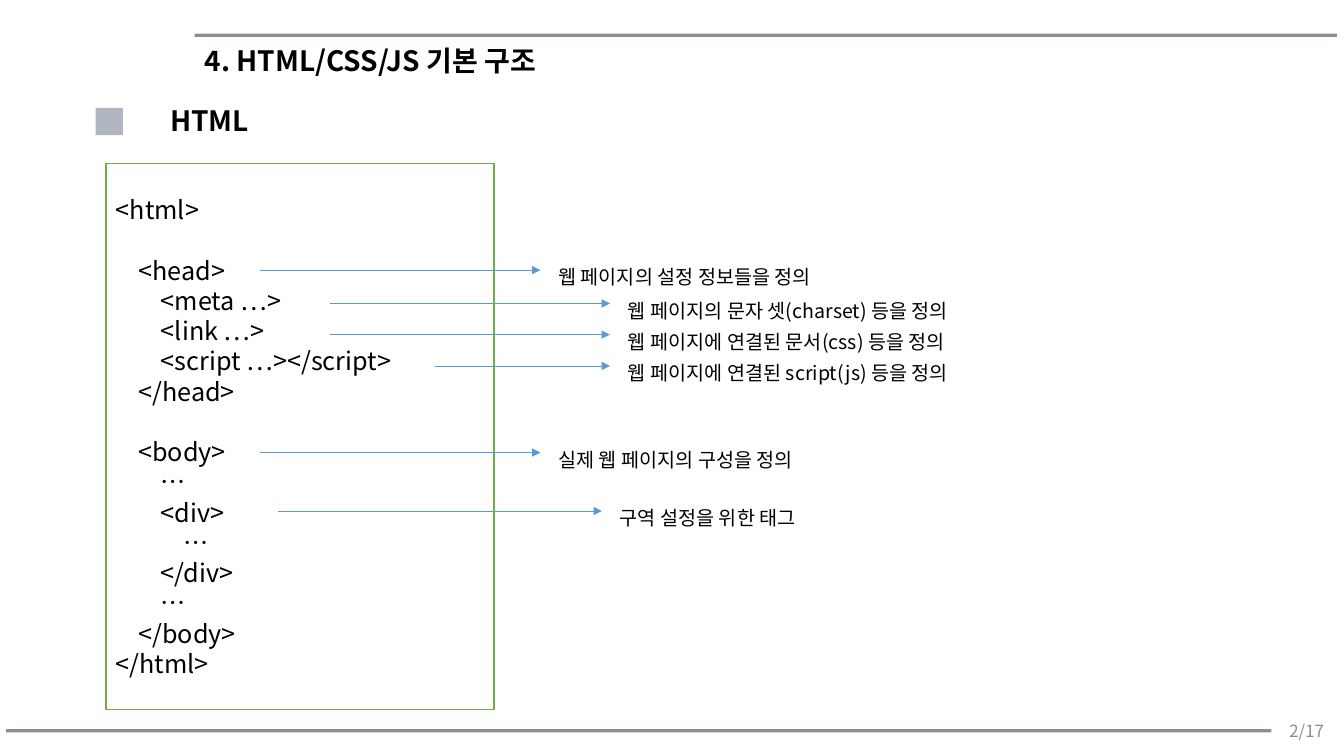
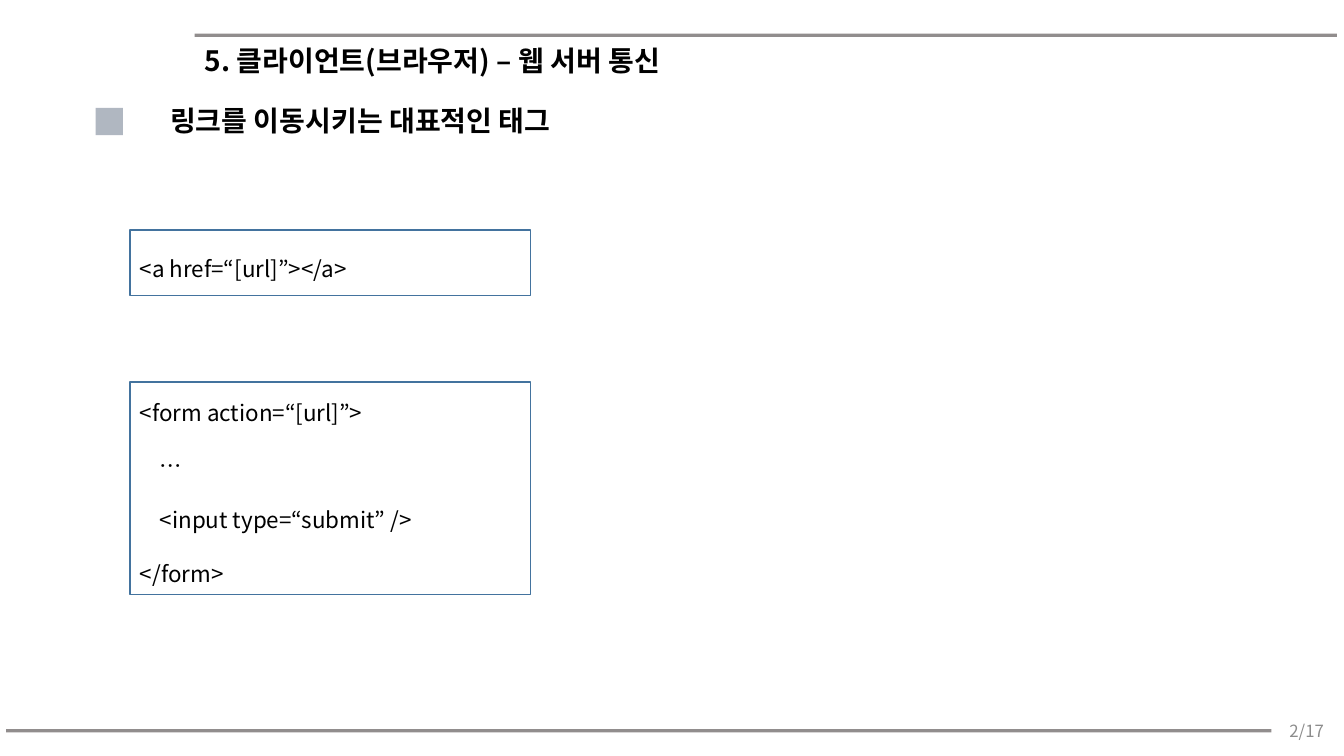
from dataclasses import dataclass

from lxml import etree
from pptx import Presentation
from pptx.dml.color import RGBColor
from pptx.enum.shapes import MSO_CONNECTOR, MSO_SHAPE
from pptx.enum.text import MSO_ANCHOR as Anchor, MSO_AUTO_SIZE, PP_ALIGN as Align
from pptx.oxml.ns import qn
from pptx.shapes.base import BaseShape
from pptx.slide import Slide
from pptx.util import Pt

EMU_PER_PX = 9144  # 100 px to the inch
FONT = "Noto Sans CJK KR"
LINE_HEIGHT = 1.2
COLORS = {
    "text": "000000",
    "page": "8C8C8C",
    "rule": "767171",
    "marker": "B0B7C1",
    "white": "FFFFFF",
    "html_border": "70AD47",
    "tag_border": "43739E",
    "arrow": "5B9BD5",
}


@dataclass(frozen=True)
class Box:
    left: int
    top: int
    width: int
    height: int

    def emu(self) -> tuple[int, ...]:
        return tuple(px(n) for n in (self.left, self.top, self.width, self.height))


@dataclass(frozen=True)
class TextStyle:
    size: int
    color: str = "text"
    bold: bool = False
    align: Align = Align.LEFT
    anchor: Anchor = Anchor.TOP
    spacing: int = 1


@dataclass(frozen=True)
class Note:
    """An arrow from a line of code to its explanation."""
    start: int
    end: int
    y: int
    text: str


@dataclass(frozen=True)
class TagExample:
    code: tuple[str, ...]
    text_box: Box
    frame: Box


TITLE = TextStyle(20, bold=True, anchor=Anchor.MIDDLE)
HEADING = TextStyle(20, bold=True)
PAGE = TextStyle(12, color="page", align=Align.RIGHT, anchor=Anchor.MIDDLE)
HTML_CODE = TextStyle(18, anchor=Anchor.MIDDLE)
NOTE = TextStyle(14, spacing=2)
TAG_CODE = TextStyle(16, spacing=2)

HTML_LINES = (
    "<html>",
    "",
    "    <head>",
    "        <meta …>",
    "        <link …>",
    "        <script …></script>",
    "    </head>",
    "",
    "    <body>",
    "        …",
    "        <div>",
    "            …",
    "        </div>",
    "        …",
    "    </body>",
    "</html>",
)
NOTES = (
    Note(258, 536, 268, "웹 페이지의 설정 정보들을 정의"),
    Note(327, 605, 301, "웹 페이지의 문자 셋(charset) 등을 정의"),
    Note(327, 605, 332, "웹 페이지에 연결된 문서(css) 등을 정의"),
    Note(431, 605, 363, "웹 페이지에 연결된 script(js) 등을 정의"),
    Note(258, 536, 449, "실제 웹 페이지의 구성을 정의"),
    Note(276, 597, 507, "구역 설정을 위한 태그"),
)
TAG_EXAMPLES = (
    TagExample(
        ("<a href=“[url]”></a>",),
        Box(129, 222, 357, 64),
        Box(129, 228, 397, 65),
    ),
    TagExample(
        ("<form action=“[url]”>", "    …", "    <input type=“submit” />", "</form>"),
        Box(129, 364, 667, 226),
        Box(129, 379, 397, 211),
    ),
)


def px(length: int) -> int:
    return length * EMU_PER_PX


def rgb(name: str) -> RGBColor:
    return RGBColor.from_string(COLORS[name])


def write(shape: BaseShape, lines: tuple[str, ...], style: TextStyle) -> None:
    """Fill a shape with lines; an empty line becomes space before the next one."""
    frame = shape.text_frame
    frame.word_wrap = True
    frame.auto_size = MSO_AUTO_SIZE.NONE
    frame.vertical_anchor = style.anchor
    pitch = Pt(round(style.size * LINE_HEIGHT * style.spacing, 1))
    paragraph = frame.paragraphs[0]
    gap = 0
    for index, line in enumerate(lines):
        if not line:
            gap += pitch
            continue
        if index:
            paragraph = frame.add_paragraph()
        paragraph.alignment = style.align
        paragraph.line_spacing = pitch
        paragraph.space_before = gap
        gap = 0
        run = paragraph.add_run()
        run.text = line
        run.font.size = Pt(style.size)
        run.font.bold = style.bold
        run.font.color.rgb = rgb(style.color)
        run.font.name = FONT
        east_asian = etree.SubElement(run.font._element, qn("a:ea"))
        east_asian.set("typeface", FONT)


def add_text(slide: Slide, box: Box, lines: tuple[str, ...], style: TextStyle) -> None:
    write(slide.shapes.add_textbox(*box.emu()), lines, style)


def add_rect(
    slide: Slide, box: Box, fill: str | None = None, border: str | None = None
) -> BaseShape:
    rect = slide.shapes.add_shape(MSO_SHAPE.RECTANGLE, *box.emu())
    rect.shadow.inherit = False
    if fill:
        rect.fill.solid()
        rect.fill.fore_color.rgb = rgb(fill)
    else:
        rect.fill.background()
    if border:
        rect.line.color.rgb = rgb(border)
        rect.line.width = Pt(1)
    else:
        rect.line.fill.background()
    return rect


def add_line(
    slide: Slide, start: int, end: int, y: int, color: str, width: float,
    opacity: int = 100, arrow: bool = False,
) -> None:
    line = slide.shapes.add_connector(
        MSO_CONNECTOR.STRAIGHT, px(start), px(y), px(end), px(y)
    )
    line.line.color.rgb = rgb(color)
    line.line.width = Pt(width)
    properties = line._element.spPr
    if opacity < 100:
        alpha = etree.SubElement(next(properties.iter(qn("a:srgbClr"))), qn("a:alpha"))
        alpha.set("val", str(opacity * 1000))
    if arrow:
        head = etree.SubElement(properties.find(qn("a:ln")), qn("a:tailEnd"))
        head.set("type", "triangle")
    etree.SubElement(properties, qn("a:effectLst"))


def add_page(deck: Presentation, title: str, heading: str) -> Slide:
    """Add a slide with the shared title, rules, page number and heading."""
    slide = deck.slides.add_slide(deck.slide_layouts.get_by_name("Title Only"))
    heading_line = slide.shapes.title
    heading_line.left, heading_line.top, heading_line.width, heading_line.height = Box(
        193, 35, 1041, 49
    ).emu()
    write(heading_line, (title,), TITLE)
    add_line(slide, 193, 1326, 35, "rule", 2.25, opacity=80)
    add_text(slide, Box(1258, 705, 65, 40), ("2/17",), PAGE)
    add_rect(slide, Box(95, 107, 27, 27), fill="marker")
    add_text(slide, Box(159, 98, 600, 44), (heading,), HEADING)
    add_line(slide, 6, 1261, 725, "rule", 2.25, opacity=80)
    return slide


def add_html_slide(deck: Presentation) -> None:
    slide = add_page(deck, "4. HTML/CSS/JS 기본 구조", "HTML")
    code = add_rect(slide, Box(105, 162, 385, 542), fill="white", border="html_border")
    write(code, HTML_LINES, HTML_CODE)
    for note in NOTES:
        add_line(slide, note.start, note.end, note.y, "arrow", 0.5, arrow=True)
        add_text(slide, Box(note.end + 8, note.y - 33, 590, 50), (note.text,), NOTE)


def add_link_slide(deck: Presentation) -> None:
    slide = add_page(
        deck, "5. 클라이언트(브라우저) – 웹 서버 통신", "링크를 이동시키는 대표적인 태그"
    )
    for example in TAG_EXAMPLES:
        add_text(slide, example.text_box, example.code, TAG_CODE)
        add_rect(slide, example.frame, border="tag_border")


def main() -> None:
    deck = Presentation()
    deck.slide_width, deck.slide_height = px(1333), px(750)
    add_html_slide(deck)
    add_link_slide(deck)
    deck.save("out.pptx")


if __name__ == "__main__":
    main()
